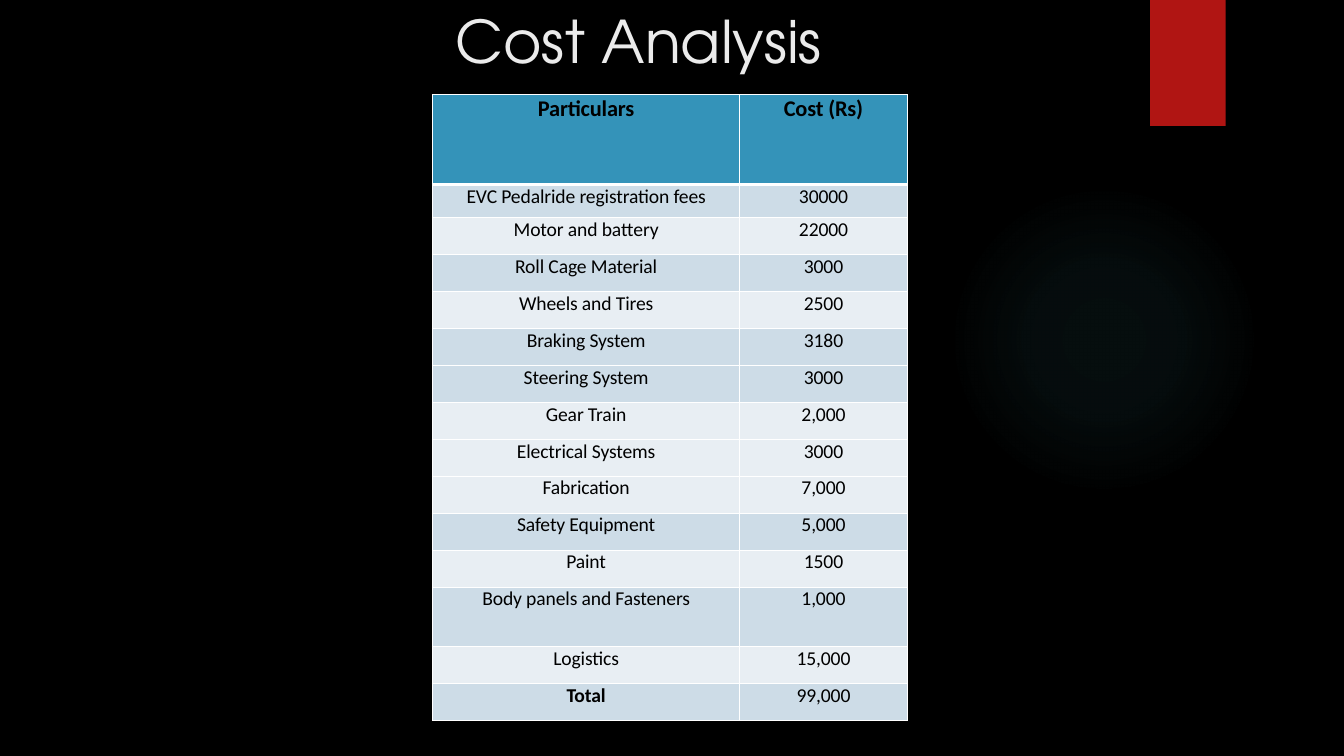
from dataclasses import dataclass

from lxml import etree
from pptx import Presentation
from pptx import util as u
from pptx.dml.color import RGBColor
from pptx.enum import shapes, text
from pptx.oxml.ns import qn

# The slide is a grid of 160 columns by 90 rows of equal squares
COLUMNS, ROWS = 160, 90
CELL = u.Inches(1) / 12

COLOURS = {
    "background": "000000",
    "title": "EBEBEB",
    "ink": "000000",
    "header": "3493B9",
    "dark": "CDDCE7",
    "light": "E8EEF3",
    "border": "FFFFFF",
    "tag": "B01513",
    "glow": "50B9C1",
}
TITLE_FONT, TABLE_FONT = "TeX Gyre Adventor", "Calibri"


@dataclass
class Area:
    left: float
    top: float
    width: float
    height: float

    def lengths(self) -> tuple:
        return tuple(grid(n) for n in (self.left, self.top, self.width, self.height))


@dataclass
class CostRow:
    name: str
    cost: str
    fill: str
    height: float = 4.4
    size: float = 14
    bold_name: bool = False
    bold_cost: bool = False
    top_line: float = 1
    bottom_line: float = 1


GLOW = Area(112.92, 21.96, 36.96, 36.96)
TAG = Area(136.92, 0, 9, 15)
TITLE = Area(-13.2, 0, 138.72, 9.12)
TITLE_INDENT = 67.44
TABLE_LEFT, TABLE_TOP = 51.48, 11.28
TABLE_COLUMNS = (36.6, 19.92)
GLOW_STOPS = ((0, 7), (36, 6), (69, 0))  # position and opacity in percent

COSTS = [
    CostRow("Particulars", "Cost (Rs)", "header", height=10.68, size=16,
            bold_name=True, bold_cost=True, bottom_line=3),
    CostRow("EVC Pedalride registration fees", "30000", "dark", height=3.96, top_line=3),
    CostRow("Motor and battery", "22000", "light"),
    CostRow("Roll Cage Material", "3000", "dark"),
    CostRow("Wheels and Tires", "2500", "light"),
    CostRow("Braking System", "3180", "dark"),
    CostRow("Steering System", "3000", "dark"),
    CostRow("Gear Train", "2,000", "light"),
    CostRow("Electrical Systems", "3000", "light"),
    CostRow("Fabrication", "7,000", "light"),
    CostRow("Safety Equipment", "5,000", "dark"),
    CostRow("Paint", "1500", "light"),
    CostRow("Body panels and Fasteners", "1,000", "dark", height=7.06),
    CostRow("Logistics", "15,000", "light"),
    CostRow("Total", "99,000", "dark", bold_name=True),
]


def grid(squares: float) -> u.Emu:
    return u.Emu(round(squares * CELL))


def colour(name: str) -> RGBColor:
    return RGBColor.from_string(COLOURS[name])


def write(frame, words: str, *, font: str, size: float, ink: str,
          align=text.PP_ALIGN.LEFT, bold: bool = False, spacing: float = 0) -> None:
    para = frame.paragraphs[0]
    para.alignment = align
    span = para.add_run()
    span.text = words
    span.font.name, span.font.size, span.font.bold = font, u.Pt(size), bold
    span.font.color.rgb = colour(ink)
    span._r.get_or_add_rPr().set("spc", str(round(spacing * 100)))


def add_plain(page, kind, area: Area, fill: str):
    shape = page.shapes.add_shape(kind, *area.lengths())
    shape.shadow.inherit = False
    shape.fill.solid()
    shape.fill.fore_color.rgb = colour(fill)
    shape.line.fill.background()
    return shape


def fade_from_centre(shape, fill: str, stops: tuple) -> None:
    solid = shape._element.spPr.find(qn("a:solidFill"))
    gradient = etree.Element(qn("a:gradFill"), rotWithShape="1")
    stop_list = etree.SubElement(gradient, qn("a:gsLst"))
    for position, opacity in stops:
        stop = etree.SubElement(stop_list, qn("a:gs"), pos=str(position * 1000))
        tint = etree.SubElement(stop, qn("a:srgbClr"), val=COLOURS[fill])
        etree.SubElement(tint, qn("a:alpha"), val=str(opacity * 1000))
    circle = etree.SubElement(gradient, qn("a:path"), path="circle")
    etree.SubElement(circle, qn("a:fillToRect"), l="50000", t="50000", r="50000", b="50000")
    solid.getparent().replace(solid, gradient)


def add_borders(cell, top: float, bottom: float) -> None:
    properties = cell._tc.get_or_add_tcPr()
    for side, points in (("L", 1), ("R", 1), ("T", top), ("B", bottom)):
        line = etree.SubElement(properties, qn(f"a:ln{side}"), w=str(u.Pt(points)))
        solid = etree.SubElement(line, qn("a:solidFill"))
        etree.SubElement(solid, qn("a:srgbClr"), val=COLOURS["border"])


def add_title(page) -> None:
    title = page.shapes.title
    title.left, title.top, title.width, title.height = TITLE.lengths()
    frame = title.text_frame
    frame.margin_left, frame.margin_top = grid(TITLE_INDENT), u.Inches(0.05)
    frame.margin_right = frame.margin_bottom = 0
    frame.vertical_anchor = text.MSO_ANCHOR.TOP
    frame.auto_size = text.MSO_AUTO_SIZE.SHAPE_TO_FIT_TEXT
    write(frame, "Cost Analysis", font=TITLE_FONT, size=42, ink="title")


def add_cost_table(page) -> None:
    area = Area(TABLE_LEFT, TABLE_TOP, sum(TABLE_COLUMNS), sum(r.height for r in COSTS))
    table = page.shapes.add_table(len(COSTS), len(TABLE_COLUMNS), *area.lengths()).table
    table.horz_banding = False
    for column, width in zip(table.columns, TABLE_COLUMNS):
        column.width = grid(width)
    for row, item in zip(table.rows, COSTS):
        row.height = grid(item.height)
        entries = ((item.name, item.bold_name), (item.cost, item.bold_cost))
        for cell, (words, bold) in zip(row.cells, entries):
            cell.margin_left = cell.margin_right = 0
            cell.margin_top = cell.margin_bottom = 0
            add_borders(cell, item.top_line, item.bottom_line)
            cell.fill.solid()
            cell.fill.fore_color.rgb = colour(item.fill)
            write(cell.text_frame, words, font=TABLE_FONT, size=item.size, ink="ink",
                  align=text.PP_ALIGN.CENTER, bold=bold, spacing=-0.1)


def main() -> None:
    deck = Presentation()
    deck.slide_width, deck.slide_height = grid(COLUMNS), grid(ROWS)
    page = deck.slides.add_slide(deck.slide_layouts[5])
    page.background.fill.solid()
    page.background.fill.fore_color.rgb = colour("background")

    # Backdrop
    glow = add_plain(page, shapes.MSO_SHAPE.OVAL, GLOW, "glow")
    fade_from_centre(glow, "glow", GLOW_STOPS)
    add_plain(page, shapes.MSO_SHAPE.RECTANGLE, TAG, "tag")

    # Content
    add_title(page)
    add_cost_table(page)
    deck.save("out.pptx")


if __name__ == "__main__":
    main()
